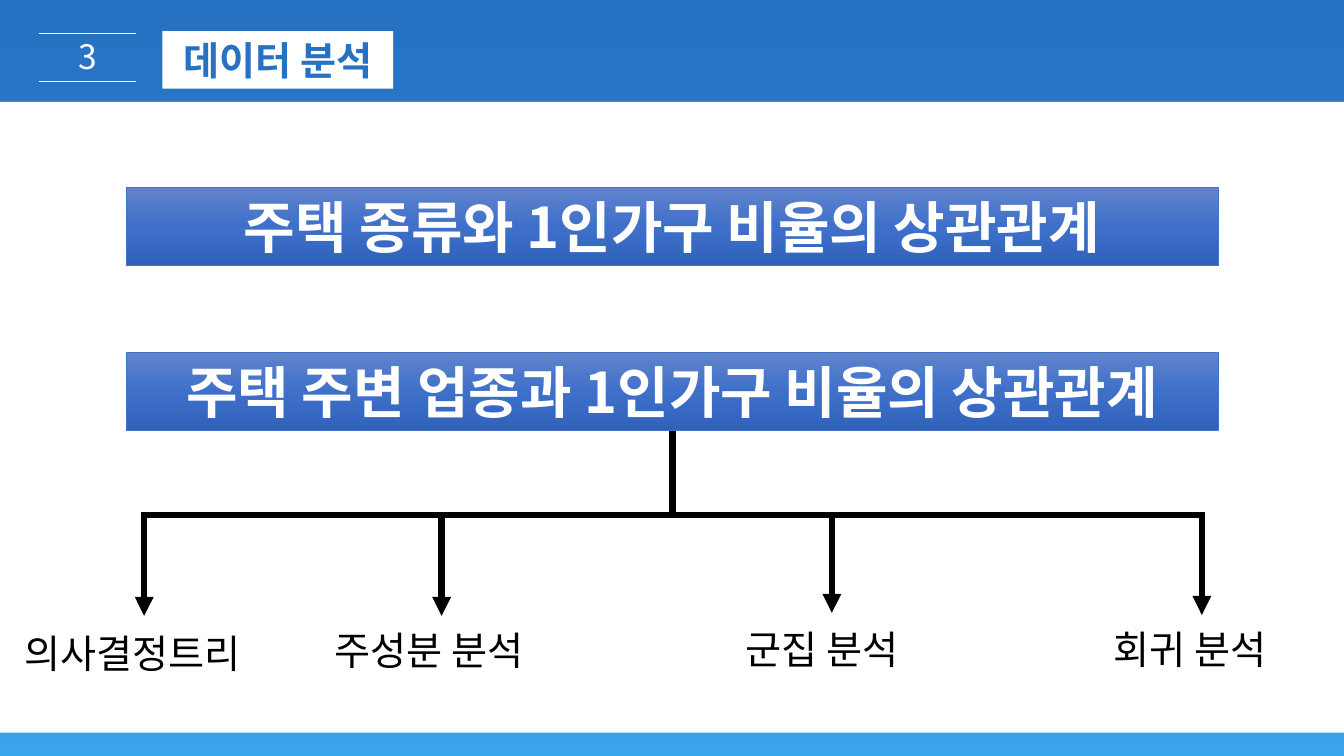
from lxml import etree
from pptx import Presentation
from pptx.dml.color import RGBColor
from pptx.enum import shapes, text
from pptx.oxml.ns import qn
from pptx.util import Inches, Pt

# Content
SECTION_NUMBER = "3"
SECTION_TITLE = "데이터 분석"
TOPICS = ["주택 종류와 1인가구 비율의 상관관계", "주택 주변 업종과 1인가구 비율의 상관관계"]
# name, label (left, top, width), arrow (x, start, end)
METHODS = [
    ("의사결정트리", (0.14, 6.19, 2.61), (1.43, 5.13, 6.11)),
    ("주성분 분석", (3.22, 6.16, 2.32), (4.38, 5.14, 6.11)),
    ("군집 분석", (7.3, 6.15, 1.93), (8.25, 5.11, 6.08)),
    ("회귀 분석", (10.95, 6.15, 1.93), (11.92, 5.12, 6.1)),
]

THEME = {
    "font": "Noto Sans CJK KR",
    "white": "FFFFFF", "black": "000000", "blue": "2771C3", "border": "4472C4",
    "backdrop": [(0, "2771C3"), (75, "2F8AD5"), (100, "39A5EA")],
    "banner": [(0, "6183CB"), (50, "3E70CA"), (100, "3062BB")],
    "number": 24, "label": 28, "topic": 40,
    "hairline": 0.25, "outline": 0.5, "branch": 4.5,
}
WIDTH, HEIGHT = 13.33, 7.5

prs = Presentation()
prs.slide_width, prs.slide_height = Inches(WIDTH), Inches(HEIGHT)
slide = prs.slides.add_slide(prs.slide_layouts[6])


def color(name):
    return RGBColor.from_string(THEME[name])


def set_gradient(fill, element, stops):
    fill.gradient()
    fill.gradient_angle = 270
    stop_list = next(element.iter(qn("a:gsLst")))
    for old in list(stop_list):
        stop_list.remove(old)
    for percent, rgb in stops:
        stop = etree.SubElement(stop_list, qn("a:gs"), pos=str(percent * 1000))
        etree.SubElement(stop, qn("a:srgbClr"), val=rgb)


def write(shape, words, size, ink, bold=False, centered=True, wrap=True):
    frame = shape.text_frame
    frame.word_wrap = wrap
    frame.auto_size = text.MSO_AUTO_SIZE.SHAPE_TO_FIT_TEXT
    paragraph = frame.paragraphs[0]
    paragraph.alignment = text.PP_ALIGN.CENTER if centered else text.PP_ALIGN.LEFT
    run = paragraph.add_run()
    run.text = words
    font = run.font
    font.name, font.size, font.bold = THEME["font"], Pt(THEME[size]), bold
    font.color.rgb = color(ink)
    props = run.font.element if hasattr(run.font, "element") else next(paragraph._p.iter(qn("a:rPr")))
    etree.SubElement(props, qn("a:ea"), typeface=THEME["font"])
    return paragraph, props


def add_box(left, top, width, height):
    box = slide.shapes.add_shape(shapes.MSO_SHAPE.RECTANGLE, Inches(left), Inches(top),
                                 Inches(width), Inches(height))
    box.shadow.inherit = False
    box.fill.solid()
    box.fill.fore_color.rgb = color("white")
    box.line.fill.background()
    return box


def add_label(left, top, width, height):
    return slide.shapes.add_textbox(Inches(left), Inches(top), Inches(width), Inches(height))


def add_line(x1, y1, x2, y2, ink, weight, arrow=False):
    line = slide.shapes.add_connector(shapes.MSO_CONNECTOR.STRAIGHT, Inches(x1), Inches(y1),
                                      Inches(x2), Inches(y2))
    line.line.color.rgb = color(ink)
    line.line.width = Pt(THEME[weight])
    if arrow:
        etree.SubElement(line.line._get_or_add_ln(), qn("a:tailEnd"), type="triangle")
    etree.SubElement(line.element.spPr, qn("a:effectLst"))


# Backdrop and white content area
set_gradient(slide.background.fill, slide.element, THEME["backdrop"])
add_box(0, 1.01, WIDTH, 6.26)

# Header: section number between two rules, then the title
_, number_props = write(add_label(0.66, 0.31, 0.43, 0.5), SECTION_NUMBER, "number", "white",
                        wrap=False)
number_props.set("spc", "300")
for rule_y in (0.33, 0.81):
    add_line(0.39, rule_y, 1.35, rule_y, "white", "hairline")
write(add_box(1.61, 0.31, 2.29, 0.57), SECTION_TITLE, "label", "blue", bold=True)

# Topic banners
for row, topic in enumerate(TOPICS):
    banner = add_box(1.25, 1.86 + row * 1.64, 10.83, 0.77)
    set_gradient(banner.fill, banner.element, THEME["banner"])
    banner.line.color.rgb = color("border")
    banner.line.width = Pt(THEME["outline"])
    write(banner, topic, "topic", "white", bold=True)

# Tree from the second topic to the analysis methods
add_line(6.67, 4.28, 6.67, 5.1, "black", "branch")
add_line(11.95, 5.11, 1.4, 5.11, "black", "branch")
for method, (left, top, width), (x, start, end) in METHODS:
    add_line(x, start, x, end, "black", "branch", arrow=True)
    paragraph, _ = write(add_label(left, top, width, 0.57), method, "label", "black",
                         centered=False)
    indent = Inches(0.56)
    paragraph._p.get_or_add_pPr().set("marL", str(indent))
    paragraph._p.get_or_add_pPr().set("indent", str(-indent))

prs.save("out.pptx")
